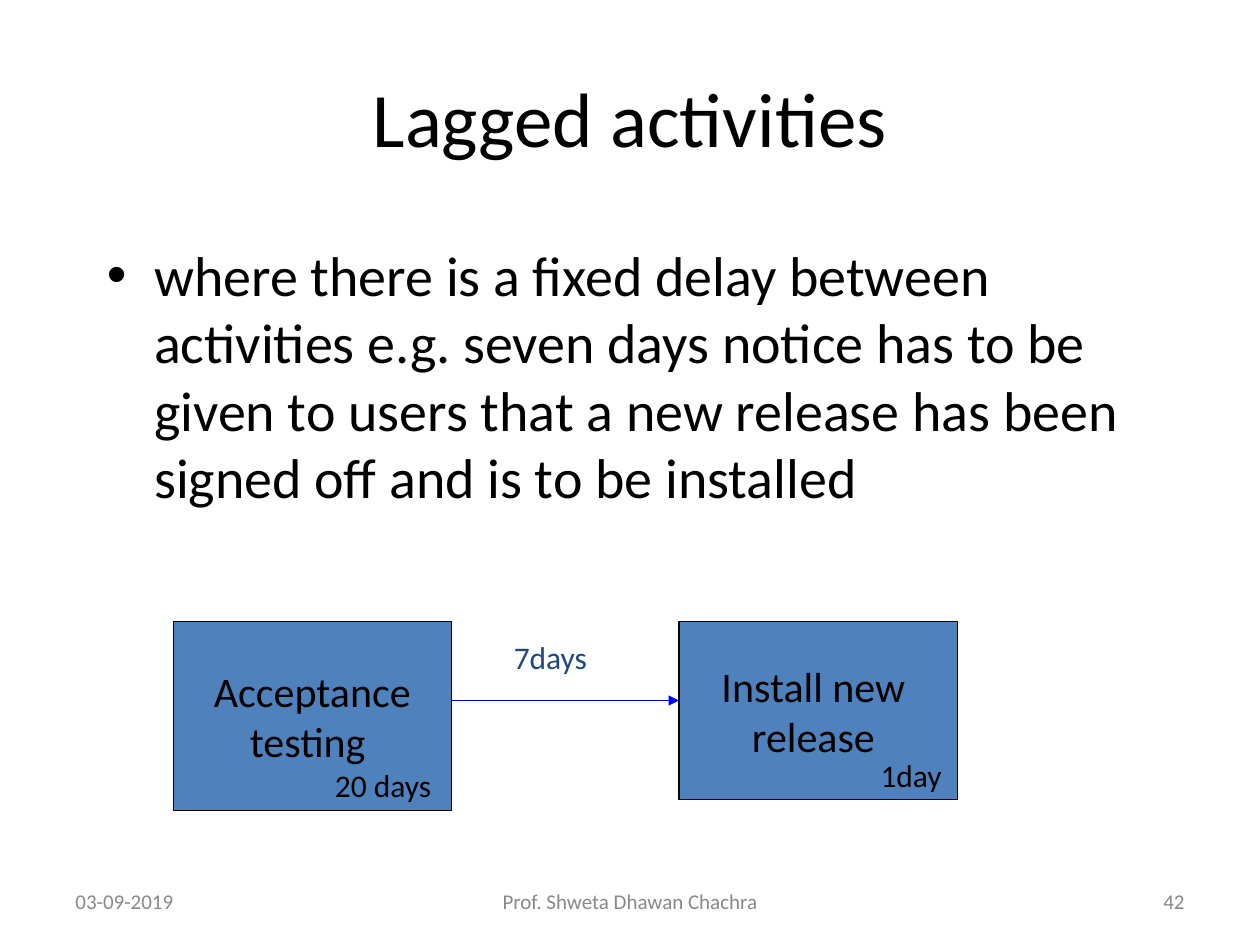
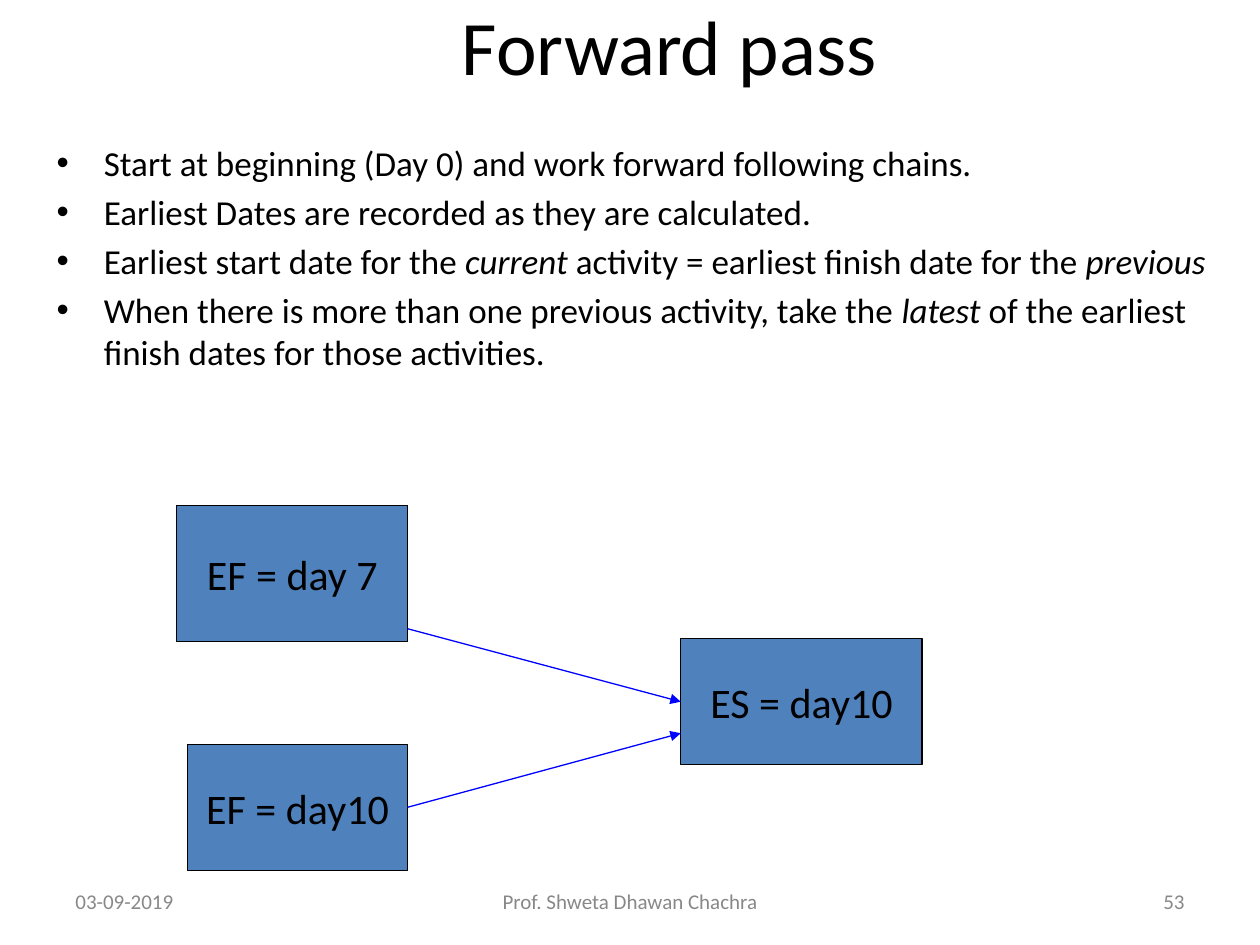
from dataclasses import dataclass

from lxml import etree
from pptx import Presentation
from pptx import util as u
from pptx.dml.color import RGBColor
from pptx.enum import shapes, text
from pptx.oxml import ns

Pt = u.Pt
LEFT, CENTER, RIGHT = text.PP_ALIGN.LEFT, text.PP_ALIGN.CENTER, text.PP_ALIGN.RIGHT
TOP, MIDDLE = text.MSO_ANCHOR.TOP, text.MSO_ANCHOR.MIDDLE


@dataclass(frozen=True)
class Theme:
    """Colours, font and type sizes shared by the slides."""
    font: str = "Calibri"
    ink: str = "000000"
    box: str = "4F81BD"
    arrow: str = "0000FF"
    lag: str = "1F497D"
    footer: str = "888888"
    line_width: float = 0.75
    title_size: int = 44
    activity_size: int = 24
    duration_size: int = 18
    footer_size: int = 12
    bullet_indent: float = 27


THEME = Theme()


def color(value):
    """Turn a hex string into a colour."""
    return RGBColor.from_string(value)


def add_runs(paragraph, runs, size, ink):
    """Add plain strings, or one-item tuples for italics, as runs."""
    for item in runs:
        italic = isinstance(item, tuple)
        run = paragraph.add_run()
        run.text = item[0] if italic else item
        run.font.name = THEME.font
        run.font.size = Pt(size)
        run.font.italic = italic
        run.font.color.rgb = color(ink)


def fill_text(shape, paragraphs, size, ink=THEME.ink, align=LEFT, anchor=TOP, wrap=True):
    """Write paragraphs, each a list of runs, into a shape and return them."""
    frame = shape.text_frame
    frame.word_wrap = wrap
    frame.vertical_anchor = anchor
    for index, runs in enumerate(paragraphs):
        paragraph = frame.add_paragraph() if index else frame.paragraphs[0]
        paragraph.alignment = align
        add_runs(paragraph, runs, size, ink)
    return frame.paragraphs


def add_label(slide, place, words, size, **style):
    """Add a one-line text box."""
    shape = slide.shapes.add_textbox(*map(Pt, place))
    fill_text(shape, [[words]], size, **style)


def add_title(slide, place, words):
    """Add the centred slide title."""
    add_label(slide, place, words, THEME.title_size, align=CENTER, anchor=MIDDLE)


def add_bullets(slide, place, items, size, gap=0):
    """Add a bulleted list with a gap between its items."""
    shape = slide.shapes.add_textbox(*map(Pt, place))
    for index, paragraph in enumerate(fill_text(shape, items, size)):
        properties = paragraph._p.get_or_add_pPr()
        indent = Pt(THEME.bullet_indent)
        properties.set("marL", str(indent))
        properties.set("indent", str(-indent))
        etree.SubElement(properties, ns.qn("a:buFont"), typeface="Arial")
        etree.SubElement(properties, ns.qn("a:buChar"), char="•")
        if index:
            paragraph.space_before = Pt(gap)


def add_activity(slide, place, *lines):
    """Add an activity box with centred lines of text."""
    shape = slide.shapes.add_shape(shapes.MSO_SHAPE.RECTANGLE, *map(Pt, place))
    shape.shadow.inherit = False
    shape.fill.solid()
    shape.fill.fore_color.rgb = color(THEME.box)
    shape.line.color.rgb = color(THEME.ink)
    shape.line.width = Pt(THEME.line_width)
    fill_text(shape, [[line] for line in lines], THEME.activity_size,
              align=CENTER, anchor=MIDDLE)


def add_arrow(slide, start, end):
    """Add a straight arrow between two points."""
    connector = slide.shapes.add_connector(
        shapes.MSO_CONNECTOR.STRAIGHT, *map(Pt, start + end))
    connector.line.color.rgb = color(THEME.arrow)
    connector.line.width = Pt(THEME.line_width)
    etree.SubElement(connector.line._get_or_add_ln(), ns.qn("a:tailEnd"), type="triangle")
    etree.SubElement(connector._element.spPr, ns.qn("a:effectLst"))


def add_footer(slide, number):
    """Add the date, the author and the slide number."""
    for left, width, words, align in (
        (36, 168, "03-09-2019", LEFT),
        (246, 228, "Prof. Shweta Dhawan Chachra", CENTER),
        (516, 168, str(number), RIGHT),
    ):
        add_label(slide, (left, 500.5, width, 28.75), words, THEME.footer_size,
                  ink=THEME.footer, align=align, anchor=MIDDLE)


def build_lagged_activities(slide):
    """Show two activities with a fixed delay between them."""
    add_title(slide, (36, 21.6, 648, 90), "Lagged activities")
    add_bullets(slide, (54, 134, 612, 185), [[
        "where there is a fixed delay between activities e.g. seven days notice "
        "has to be given to users that a new release has been signed off and is "
        "to be installed"]], 32)
    add_activity(slide, (99, 355, 159, 108), "Acceptance", "testing ")
    add_activity(slide, (388, 355, 159, 102), "Install new ", "release ")
    add_arrow(slide, (258, 400.3), (388, 400.3))
    for place, words, ink in (
        ((286.5, 361, 63, 29), "7days", THEME.lag),
        ((184.3, 434.2, 78, 29), "20 days", THEME.ink),
        ((496.1, 428.6, 53, 29), "1day", THEME.ink),
    ):
        add_label(slide, place, words, THEME.duration_size, ink=ink, wrap=False)
    add_footer(slide, 42)


def build_forward_pass(slide):
    """Show how the latest of the earliest finishes sets the next start."""
    add_title(slide, (76.5, -19.5, 612, 90), "Forward pass")
    add_bullets(slide, (25.2, 77.4, 680.4, 221), [
        ["Start at beginning (Day 0) and work forward following chains."],
        ["Earliest Dates are recorded as they are calculated."],
        ["Earliest start date for the ", ("current",),
         " activity = earliest finish date for the ", ("previous",)],
        ["When there is more than one previous activity, take the ", ("latest",),
         " of the earliest finish dates for those activities."],
    ], 20, gap=4)
    add_activity(slide, (101, 288.7, 132, 78), "EF = day 7")
    add_activity(slide, (107, 425.3, 126, 72), "EF = day10")
    add_activity(slide, (389, 365, 138, 72), "ES = day10")
    add_arrow(slide, (233, 359.3), (389, 401))
    add_arrow(slide, (233, 461.3), (389, 419))
    add_footer(slide, 53)


def main():
    """Build and save the presentation."""
    presentation = Presentation()
    presentation.slide_width, presentation.slide_height = Pt(720), Pt(540)
    for build in (build_lagged_activities, build_forward_pass):
        build(presentation.slides.add_slide(presentation.slide_layouts[6]))
    presentation.save("out.pptx")


if __name__ == "__main__":
    main()
